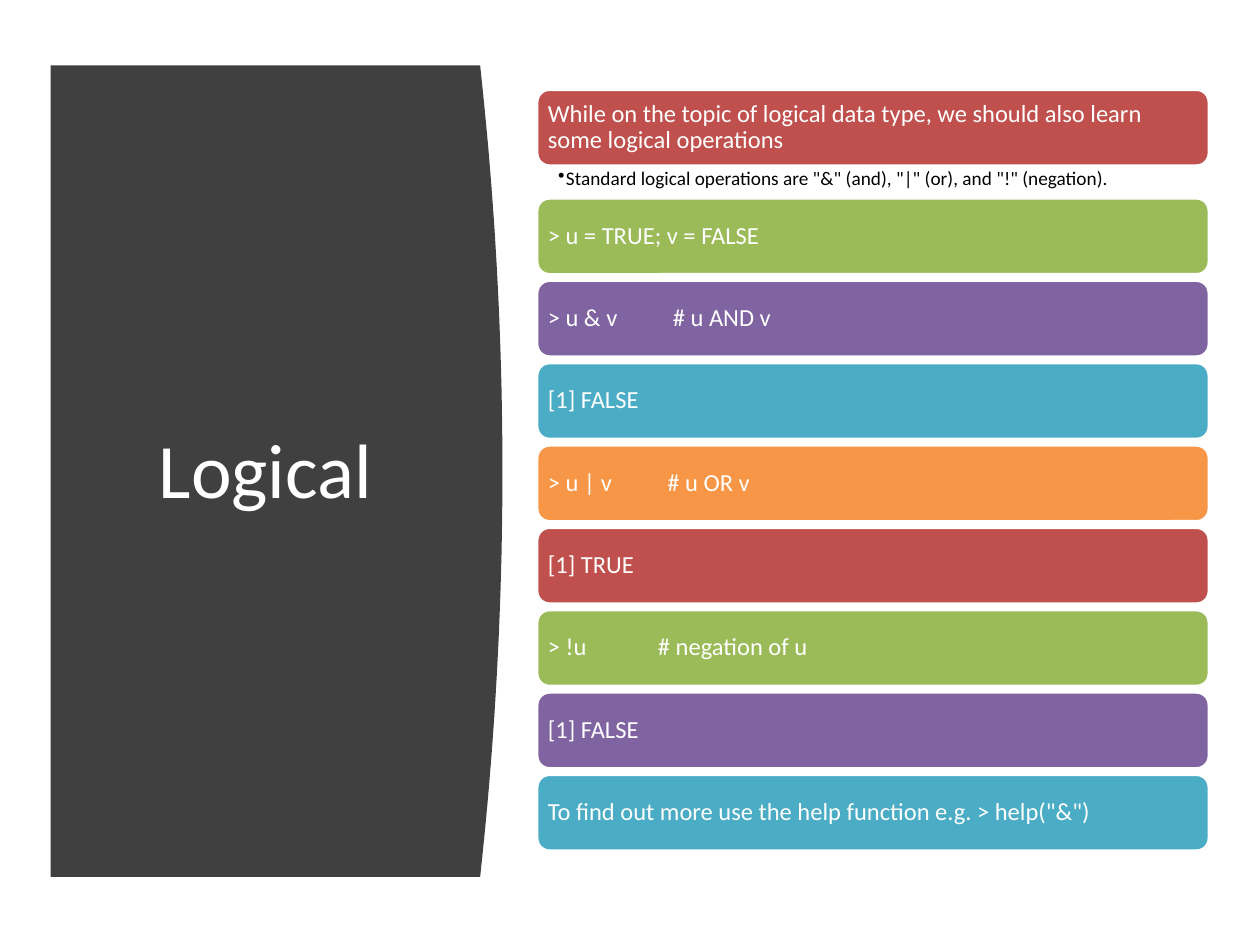
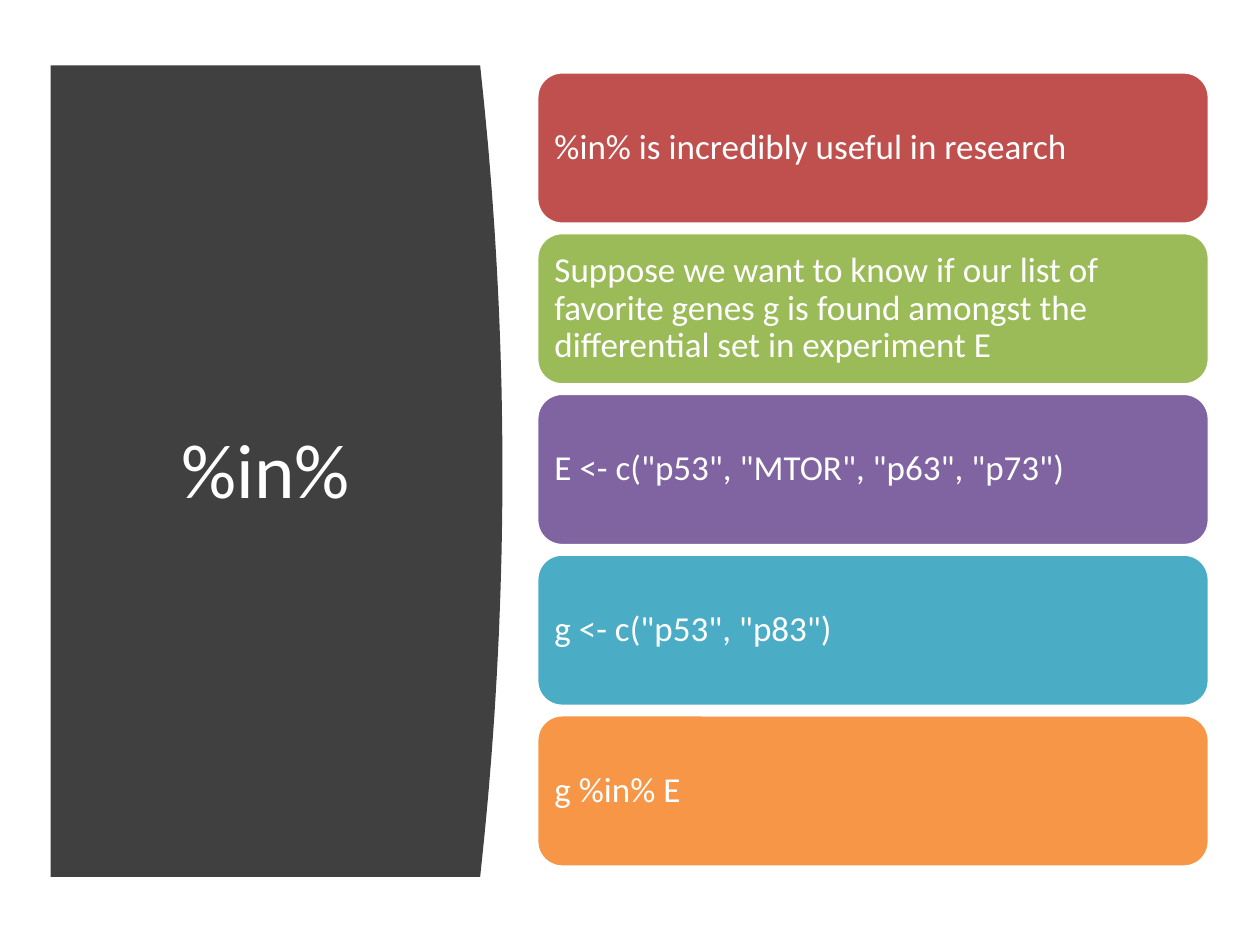
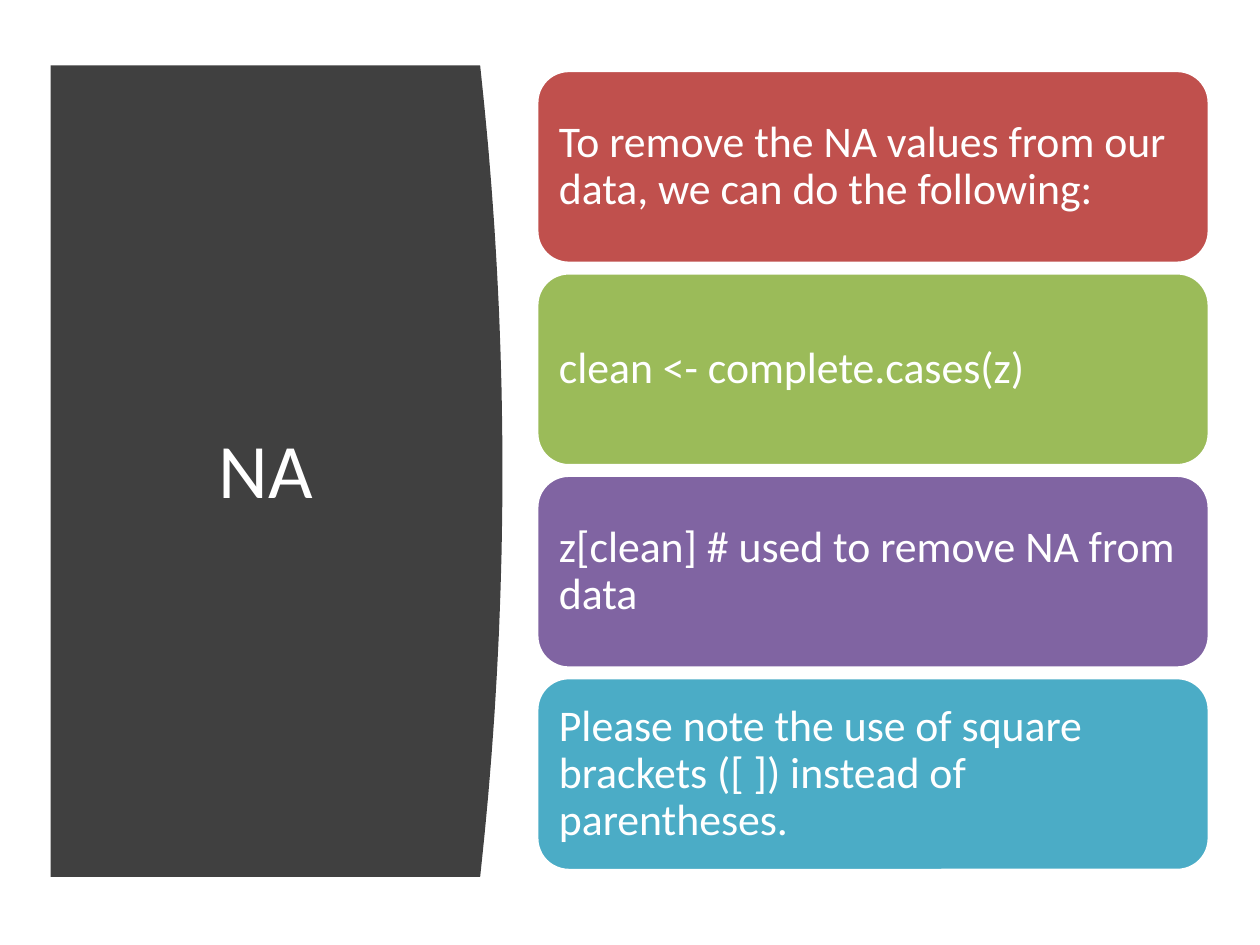
from lxml import etree
from pptx import Presentation
from pptx import util as u
from pptx.dml.color import RGBColor
from pptx.enum import shapes, text
from pptx.oxml.ns import qn

WHITE = RGBColor(0xFF, 0xFF, 0xFF)
BLACK = RGBColor(0x00, 0x00, 0x00)
DARK = RGBColor(0x40, 0x40, 0x40)
RED = RGBColor(0xC0, 0x50, 0x4D)
GREEN = RGBColor(0x9B, 0xBB, 0x59)
PURPLE = RGBColor(0x80, 0x64, 0xA2)
TEAL = RGBColor(0x4B, 0xAC, 0xC6)
ORANGE = RGBColor(0xF7, 0x96, 0x46)
HUES = [RED, GREEN, PURPLE, TEAL, ORANGE]

FONT = "Calibri"
LEFT, WIDTH = 10.82, 13.56


class Deck:
    def __init__(self):
        self.deck = Presentation()
        self.deck.slide_width = u.Cm(25.4)
        self.deck.slide_height = u.Cm(19.05)
        self.slide = None

    def start(self, title):
        self.slide = self.deck.slides.add_slide(self.deck.slide_layouts[5])
        self.panel()
        self.title(title)

    def panel(self):
        left, right, mid, half = 1.02, 10.13, 9.5, 8.18
        steps = [n / 20 for n in range(-20, 21)]
        curve = [(u.Cm(right - 0.45 * t * t), u.Cm(mid + half * t)) for t in steps]
        pen = self.slide.shapes.build_freeform(u.Cm(left), u.Cm(mid - half))
        pen.add_line_segments(curve + [(u.Cm(left), u.Cm(mid + half))])
        panel = pen.convert_to_shape()
        self.paint(panel, DARK)
        panel.line.fill.background()
        self.slide.shapes.title._element.addprevious(panel._element)

    def title(self, words):
        box = self.slide.shapes.title
        box.left, box.top = u.Cm(1.8), u.Cm(2.82)
        box.width, box.height = u.Cm(7.11), u.Cm(13.21)
        box.text_frame.text = words
        box.text_frame.vertical_anchor = text.MSO_ANCHOR.MIDDLE
        par = box.text_frame.paragraphs[0]
        par.alignment = text.PP_ALIGN.CENTER
        self.style(par, 44, WHITE)

    def paint(self, shape, hue):
        shape.shadow.inherit = False
        shape.fill.solid()
        shape.fill.fore_color.rgb = hue

    def style(self, par, size, hue):
        for run in par.runs:
            run.font.name = FONT
            run.font.size = u.Pt(size)
            run.font.color.rgb = hue

    def fill(self, shape, words, size, hue, pads):
        frame = shape.text_frame
        frame.word_wrap = True
        (frame.margin_left, frame.margin_top,
         frame.margin_right, frame.margin_bottom) = [u.Cm(p) for p in pads]
        frame.text = words
        par = frame.paragraphs[0]
        par.alignment = text.PP_ALIGN.LEFT
        par.line_spacing = 0.9
        self.style(par, size, hue)
        return par

    def bar(self, words, top, height, hue, size, pad, tab=None):
        bar = self.slide.shapes.add_shape(
            shapes.MSO_SHAPE.ROUNDED_RECTANGLE,
            u.Cm(LEFT), u.Cm(top), u.Cm(WIDTH), u.Cm(height))
        self.paint(bar, hue)
        bar.line.color.rgb = WHITE
        bar.line.width = u.Pt(2)
        bar.text_frame.vertical_anchor = text.MSO_ANCHOR.MIDDLE
        par = self.fill(bar, words, size, WHITE, [pad] * 4)
        if tab:
            stops = etree.SubElement(par._p.get_or_add_pPr(), qn("a:tabLst"))
            etree.SubElement(stops, qn("a:tab"), pos=str(u.Cm(tab)), algn="l")

    def stack(self, rows, top, pitch, height, size, pad, first=0):
        for n, row in enumerate(rows):
            words, tab = row if isinstance(row, tuple) else (row, None)
            hue = HUES[(n + first) % len(HUES)]
            self.bar(words, top + n * pitch, height, hue, size, pad, tab)

    def note(self, words, top):
        box = self.slide.shapes.add_textbox(
            u.Cm(LEFT), u.Cm(top), u.Cm(WIDTH), u.Cm(0.64))
        par = self.fill(box, words, 11, BLACK, [0.43, 0.05, 0.28, 0.05])
        props = par._p.get_or_add_pPr()
        props.set("marL", str(u.Cm(0.16)))
        props.set("indent", str(-u.Cm(0.16)))
        etree.SubElement(props, qn("a:buChar"), char="•")


def main():
    deck = Deck()

    deck.start("Logical")
    look = dict(pitch=1.66, height=1.55, size=14, pad=0.15)
    deck.stack(["While on the topic of logical data type, we should also learn "
                "some logical operations"], top=1.8, **look)
    deck.note('Standard logical operations are "&" (and), "|" (or), '
              'and "!" (negation).', 3.35)
    deck.stack([
        "> u = TRUE; v = FALSE",
        ("> u & v\t# u AND v", 2.52),
        "[1] FALSE",
        ("> u | v\t# u OR v", 2.41),
        "[1] TRUE",
        ("> !u\t# negation of u", 2.22),
        "[1] FALSE",
        'To find out more use the help function e.g. > help("&")',
    ], top=3.99, first=1, **look)

    deck.start("%in%")
    deck.stack([
        "%in% is incredibly useful in research",
        "Suppose we want to know if our list of favorite genes g is found "
        "amongst the differential set in experiment E",
        'E <- c("p53", "MTOR", "p63", "p73")',
        'g <- c("p53", "p83")',
        "g %in% E",
    ], top=1.45, pitch=3.24, height=3.07, size=20, pad=0.21)

    deck.start("NA")
    deck.stack([
        "To remove the NA values from our data, we can do the following:",
        "clean <- complete.cases(z)",
        "z[clean] # used to remove NA from data",
        "Please note the use of square brackets ([ ]) instead of parentheses.",
    ], top=1.42, pitch=4.08, height=3.89, size=25, pad=0.26)

    deck.deck.save("out.pptx")


if __name__ == "__main__":
    main()
